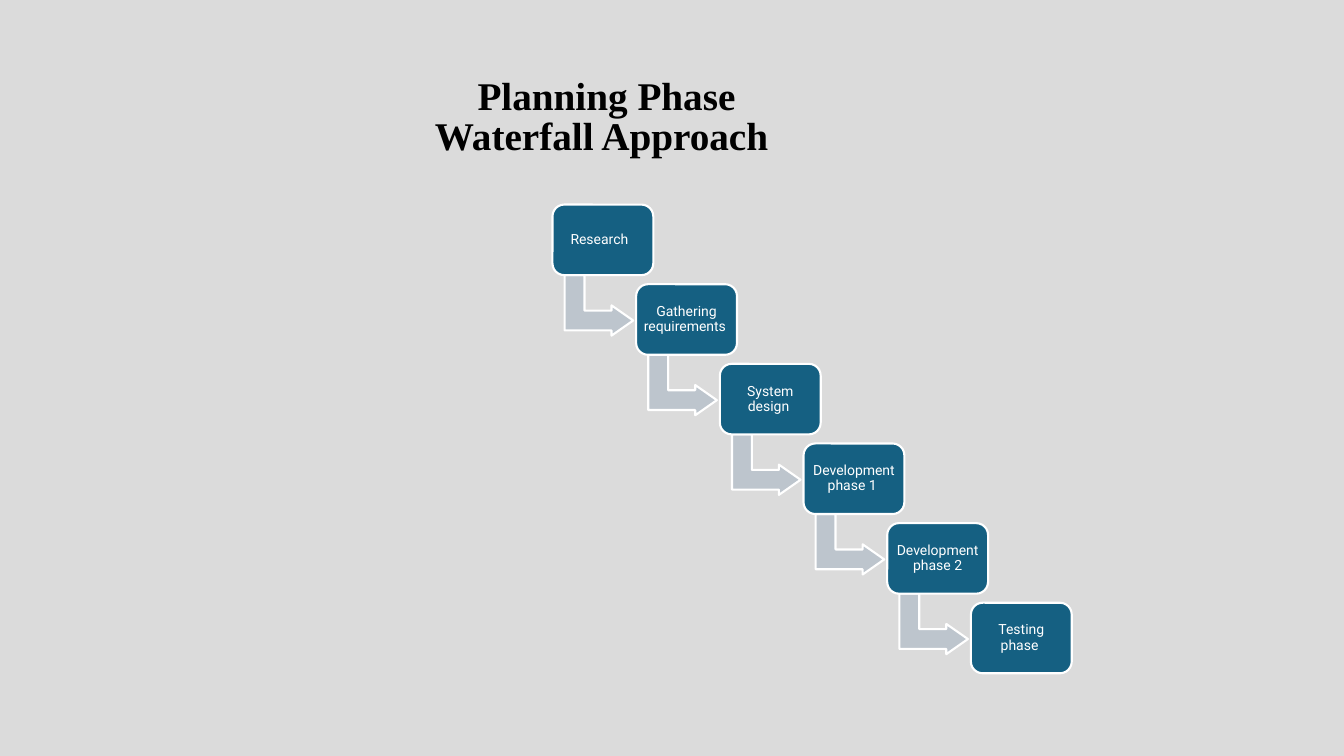
from pptx import Presentation
from pptx.dml.color import RGBColor
from pptx.enum import shapes, text
from pptx.util import Inches, Pt

BACKGROUND, BLUE, GREY, WHITE, BLACK = "DBDBDB", "156082", "BDC5CD", "FFFFFF", "000000"
TITLE = ["Planning Phase", "Waterfall Approach "]
PHASES = [
    "Research  ",
    "Gathering requirements ",
    "System design ",
    "Development phase 1 ",
    "Development phase 2",
    "Testing phase ",
]
FIRST_LEFT, FIRST_TOP = 5.48, 2.03
STEP_RIGHT, STEP_DOWN = 0.83, 0.79


def set_fill(fill, color):
    fill.solid()
    fill.fore_color.rgb = RGBColor.from_string(color)


def set_font(paragraph, name, size, color, bold=False):
    font = paragraph.font
    font.name, font.size, font.bold = name, Pt(size), bold
    font.color.rgb = RGBColor.from_string(color)


def add_outlined_shape(slide, kind, left, top, width, height, color, adjustments):
    shape = slide.shapes.add_shape(
        kind, Inches(left), Inches(top), Inches(width), Inches(height))
    shape.shadow.inherit = False
    for index, value in enumerate(adjustments):
        shape.adjustments[index] = value
    set_fill(shape.fill, color)
    set_fill(shape.line.fill, WHITE)
    shape.line.width = Pt(1.5)
    return shape


def add_arrow(slide, left, top):
    """Add an arrow that leads down from one phase and right to the next."""
    arrow = add_outlined_shape(
        slide, shapes.MSO_SHAPE.BENT_UP_ARROW, left, top, 0.6, 0.68,
        GREY, [0.328, 0.25, 0.358])
    arrow.rotation = 90


def add_phase(slide, left, top, label):
    box = add_outlined_shape(
        slide, shapes.MSO_SHAPE.ROUNDED_RECTANGLE, left, top, 1, 0.7, BLUE, [0.167])
    frame = box.text_frame
    frame.word_wrap = True
    frame.vertical_anchor = text.MSO_ANCHOR.MIDDLE
    frame.margin_left = frame.margin_right = Inches(0.04)
    frame.margin_top = frame.margin_bottom = Inches(0.04)
    frame.text = label
    paragraph = frame.paragraphs[0]
    paragraph.alignment = text.PP_ALIGN.CENTER
    paragraph.line_spacing = 0.9
    set_font(paragraph, "Roboto", 10, WHITE)


def format_title(slide):
    title = slide.shapes.title
    title.left, title.top = Inches(1.72), Inches(0.9)
    title.width, title.height = Inches(8.59), Inches(0.77)
    frame = title.text_frame
    frame.text = "\n".join(TITLE)
    frame.word_wrap = True
    frame.auto_size = text.MSO_AUTO_SIZE.SHAPE_TO_FIT_TEXT
    frame.vertical_anchor = text.MSO_ANCHOR.TOP
    for paragraph in frame.paragraphs:
        paragraph.alignment = text.PP_ALIGN.CENTER
        paragraph.line_spacing = Pt(16.2)
        paragraph.space_before, paragraph.space_after = Pt(8), Pt(4)
        set_font(paragraph, "Times New Roman", 28, BLACK, bold=True)


def main():
    presentation = Presentation()
    presentation.slide_width, presentation.slide_height = Inches(13.33), Inches(7.5)
    slide = presentation.slides.add_slide(presentation.slide_layouts[5])
    set_fill(slide.background.fill, BACKGROUND)
    format_title(slide)
    for index, label in enumerate(PHASES):
        left = FIRST_LEFT + index * STEP_RIGHT
        top = FIRST_TOP + index * STEP_DOWN
        if index < len(PHASES) - 1:
            add_arrow(slide, left + 0.16, top + 0.66)
        add_phase(slide, left, top, label)
    presentation.save("out.pptx")


if __name__ == "__main__":
    main()
